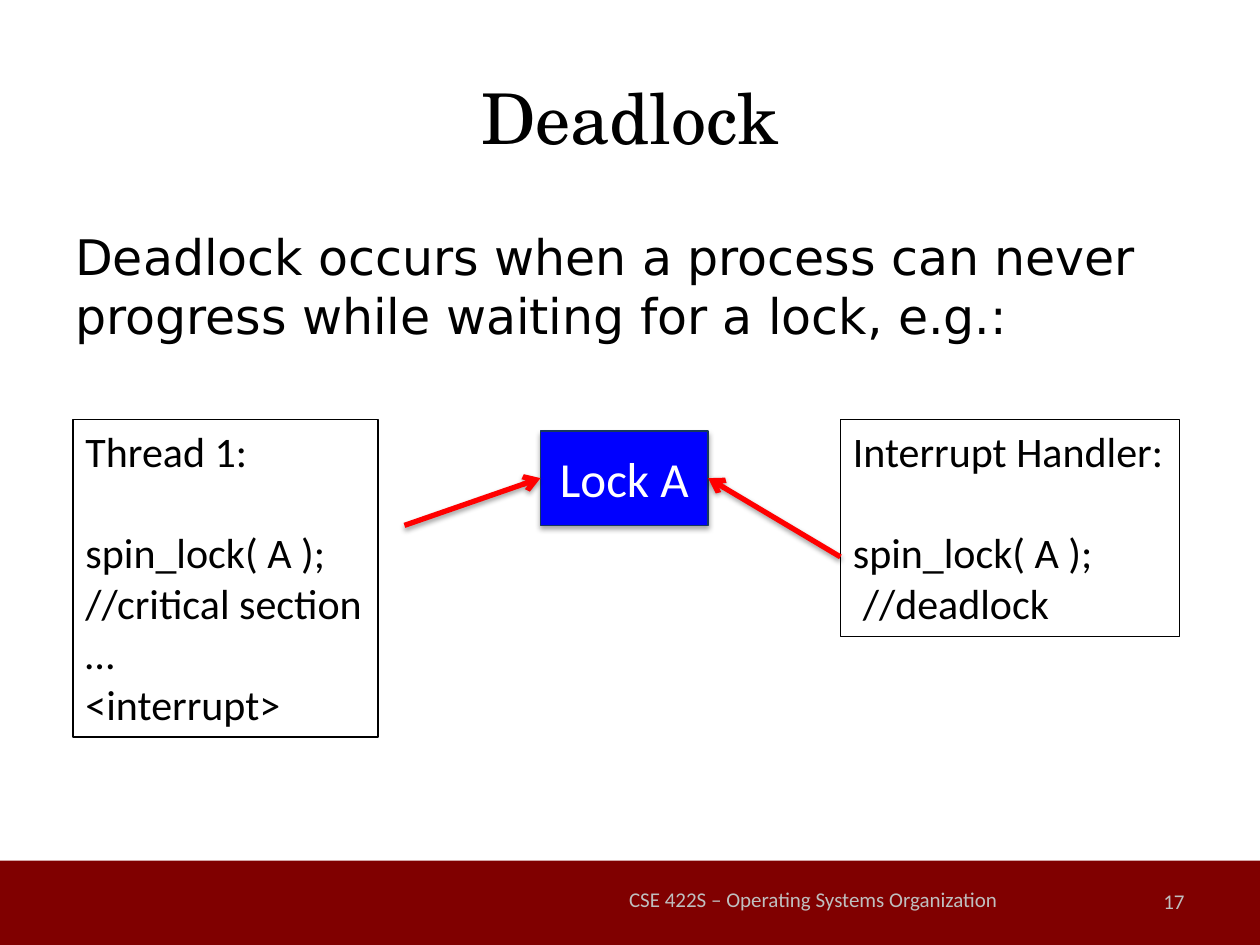
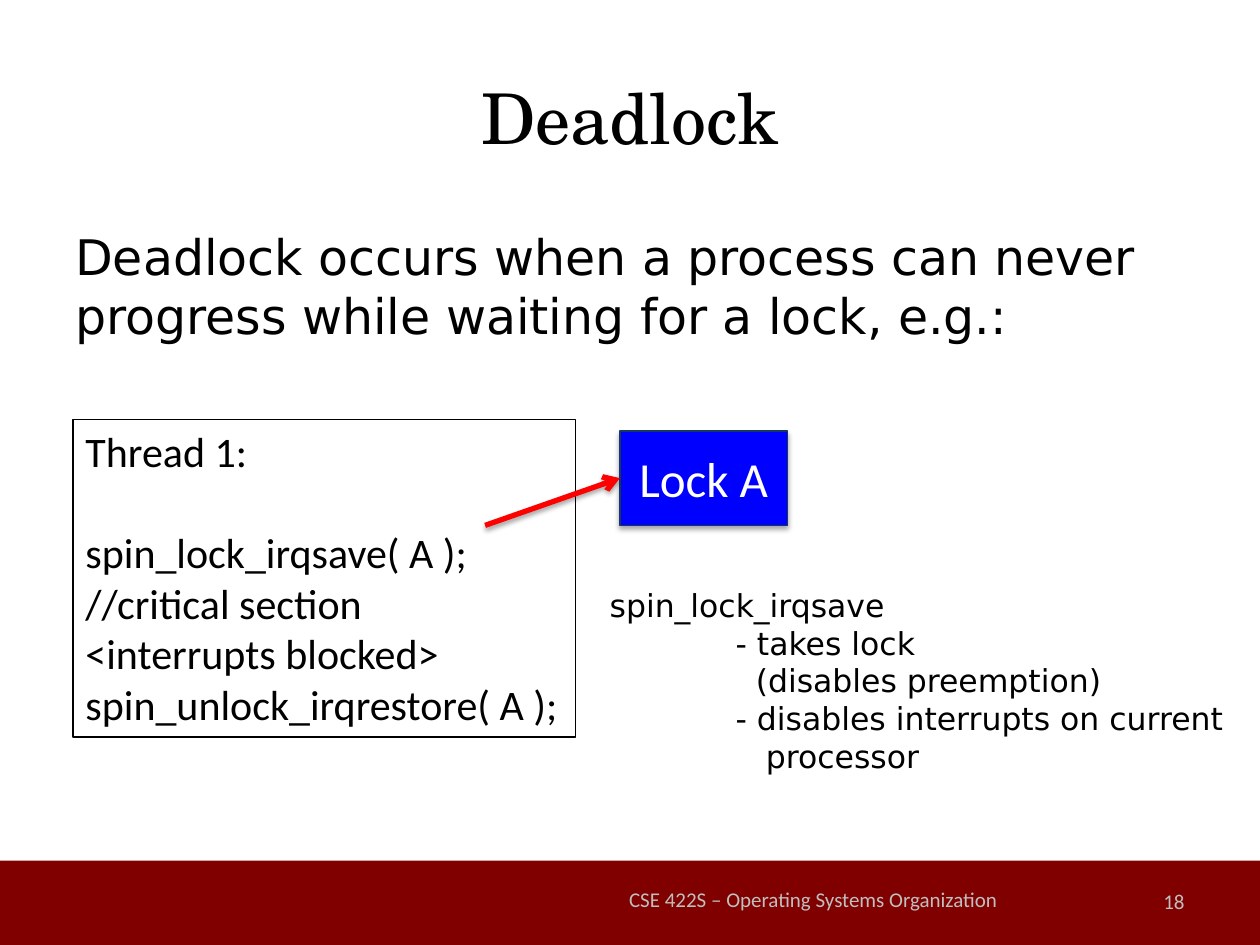
from dataclasses import dataclass

import pptx
import pptx.dml.color
import pptx.enum.shapes
import pptx.enum.text
import pptx.oxml
import pptx.oxml.ns
import pptx.util
from pptx.util import Inches

COLORS = {
    "band": "800000",
    "footer": "BFBFBF",
    "text": "000000",
    "lock": "0000FF",
    "lock_line": "17375E",
    "lock_text": "FFFFFF",
    "arrow": "FF0000",
}
TITLE_FONT, BODY_FONT, CODE_FONT = "TeX Gyre Schola", "DejaVu Sans", "Calibri"
ALIGN = pptx.enum.text.PP_ALIGN
MIDDLE = pptx.enum.text.MSO_ANCHOR.MIDDLE
RECTANGLE = pptx.enum.shapes.MSO_SHAPE.RECTANGLE
LEFT_SIDE, RIGHT_SIDE = 1, 3
LOCK_TOP, LOCK_WIDTH, LOCK_HEIGHT = 3.42, 1.33, 0.75


@dataclass
class Style:
    font: str
    size: float
    color: str = "text"
    align: ALIGN = ALIGN.LEFT


@dataclass
class Line:
    text: str
    indent: float = 0


@dataclass
class CodeBox:
    left: float
    width: float
    height: float
    heading: str
    lines: list[Line]


@dataclass
class Arrow:
    start_x: float
    start_y: float
    lock_side: int


@dataclass
class DeadlockSlide:
    number: int
    lock_left: float
    code_boxes: list[CodeBox]
    arrows: list[Arrow]
    notes: list[Line]


TITLE = Style(TITLE_FONT, 40, align=ALIGN.CENTER)
BODY = Style(BODY_FONT, 28)
CODE = Style(CODE_FONT, 24)
DETAIL = Style(BODY_FONT, 18)
LOCK = Style(CODE_FONT, 28, "lock_text", ALIGN.CENTER)
FOOTER = Style(CODE_FONT, 12, "footer", ALIGN.CENTER)
PAGE_NUMBER = Style(CODE_FONT, 12, "footer", ALIGN.RIGHT)

SLIDES = [
    DeadlockSlide(
        17, 4.29,
        [
            CodeBox(0.58, 2.42, 2.52, "Thread 1:", [
                Line("spin_lock( A );"), Line("//critical section"),
                Line("…"), Line("<interrupt>")]),
            CodeBox(6.67, 2.69, 1.72, "Interrupt Handler:", [
                Line("spin_lock( A );"), Line("//deadlock", 0.08)]),
        ],
        [Arrow(3.21, 4.17, LEFT_SIDE), Arrow(6.67, 4.42, RIGHT_SIDE)],
        [],
    ),
    DeadlockSlide(
        18, 4.92,
        [
            CodeBox(0.58, 3.99, 2.52, "Thread 1:", [
                Line("spin_lock_irqsave( A );"), Line("//critical section"),
                Line("<interrupts blocked>"),
                Line("spin_unlock_irqrestore( A );")]),
        ],
        [Arrow(3.85, 4.17, LEFT_SIDE)],
        [
            Line("spin_lock_irqsave"),
            Line("- takes lock", 1),
            Line("(disables preemption)", 1.16),
            Line("- disables interrupts on current", 1),
            Line("processor", 1.24),
        ],
    ),
]


def rgb(name: str) -> pptx.dml.color.RGBColor:
    return pptx.dml.color.RGBColor.from_string(COLORS[name])


def set_shadow(shape, opacity: int, distance: float) -> None:
    """Put a soft shadow straight below a shape or connector."""
    shape._element.spPr.append(pptx.oxml.parse_xml(
        f'<a:effectLst {pptx.oxml.ns.nsdecls("a")}>'
        f'<a:outerShdw blurRad="{pptx.util.Pt(3.1)}" dist="{pptx.util.Pt(distance)}" '
        'dir="5400000" rotWithShape="0"><a:srgbClr val="000000">'
        f'<a:alpha val="{opacity * 1000}"/></a:srgbClr></a:outerShdw></a:effectLst>'))


def write_lines(text_frame, lines: list[Line], style: Style) -> None:
    for index, line in enumerate(lines):
        paragraph = text_frame.paragraphs[0] if index == 0 else text_frame.add_paragraph()
        paragraph.text = line.text
        paragraph.alignment = style.align
        if line.indent:
            paragraph._p.get_or_add_pPr().set("marL", str(Inches(line.indent)))
        font = paragraph.runs[0].font
        font.name = style.font
        font.size = pptx.util.Pt(style.size)
        font.color.rgb = rgb(style.color)


def add_text(slide, left: float, top: float, width: float, height: float,
             lines: list[Line], style: Style, anchor=None):
    box = slide.shapes.add_textbox(Inches(left), Inches(top), Inches(width), Inches(height))
    box.text_frame.word_wrap = True
    box.text_frame.vertical_anchor = anchor
    write_lines(box.text_frame, lines, style)
    return box


def add_rectangle(slide, left: float, top: float, width: float, height: float, fill: str):
    shape = slide.shapes.add_shape(
        RECTANGLE, Inches(left), Inches(top), Inches(width), Inches(height))
    shape.fill.solid()
    shape.fill.fore_color.rgb = rgb(fill)
    return shape


def add_frame(slide, number: int) -> None:
    """Add the band, title, statement and footer that every slide has."""
    band = add_rectangle(slide, 0, 6.83, 10, 0.67, "band")
    band.line.fill.background()
    band.shadow.inherit = False
    add_text(slide, 0.5, 0.3, 9, 1.25, [Line("Deadlock")], TITLE, MIDDLE)
    statement = add_text(slide, 0.5, 1.75, 9, 1.1, [Line(
        "Deadlock occurs when a process can never progress "
        "while waiting for a lock, e.g.:")], BODY)
    statement.text_frame.paragraphs[0].space_before = pptx.util.Pt(2)
    add_text(slide, 7.17, 6.95, 2.33, 0.4, [Line(str(number))], PAGE_NUMBER, MIDDLE)
    add_text(slide, 4.08, 6.92, 4.75, 0.43,
             [Line("CSE 422S – Operating Systems Organization")], FOOTER, MIDDLE)


def add_lock(slide, left: float):
    lock = add_rectangle(slide, left, LOCK_TOP, LOCK_WIDTH, LOCK_HEIGHT, "lock")
    lock.line.color.rgb = rgb("lock_line")
    lock.line.width = pptx.util.Pt(0.75)
    set_shadow(lock, 35, 1.8)
    lock.text_frame.vertical_anchor = MIDDLE
    write_lines(lock.text_frame, [Line("Lock A")], LOCK)
    return lock


def add_code_box(slide, code: CodeBox) -> None:
    box = add_text(slide, code.left, 3.33, code.width, code.height,
                   [Line(code.heading), *code.lines], CODE)
    box.line.color.rgb = rgb("text")
    box.line.width = pptx.util.Pt(0.75)
    box.text_frame.word_wrap = False
    box.text_frame.auto_size = pptx.enum.text.MSO_AUTO_SIZE.SHAPE_TO_FIT_TEXT
    # One line of space between heading and code
    box.text_frame.paragraphs[0].space_after = pptx.util.Pt(29)


def add_arrow(slide, arrow: Arrow, lock) -> None:
    start_x, start_y = Inches(arrow.start_x), Inches(arrow.start_y)
    connector = slide.shapes.add_connector(
        pptx.enum.shapes.MSO_CONNECTOR.STRAIGHT, start_x, start_y, start_x, start_y)
    connector.end_connect(lock, arrow.lock_side)
    connector.line.color.rgb = rgb("arrow")
    connector.line.width = pptx.util.Pt(3)
    connector.line._get_or_add_ln().append(pptx.oxml.parse_xml(
        f'<a:tailEnd {pptx.oxml.ns.nsdecls("a")} type="arrow"/>'))
    set_shadow(connector, 38, 1.6)


def add_deadlock_slide(presentation, content: DeadlockSlide) -> None:
    slide = presentation.slides.add_slide(presentation.slide_layouts[6])
    add_frame(slide, content.number)
    lock = add_lock(slide, content.lock_left)
    for code in content.code_boxes:
        add_code_box(slide, code)
    for arrow in content.arrows:
        add_arrow(slide, arrow, lock)
    if content.notes:
        add_text(slide, 4.74, 4.6, 5.28, 1.62, content.notes, DETAIL)


def main() -> None:
    presentation = pptx.Presentation()
    presentation.slide_width = Inches(10)
    presentation.slide_height = Inches(7.5)
    for content in SLIDES:
        add_deadlock_slide(presentation, content)
    presentation.save("out.pptx")


if __name__ == "__main__":
    main()
